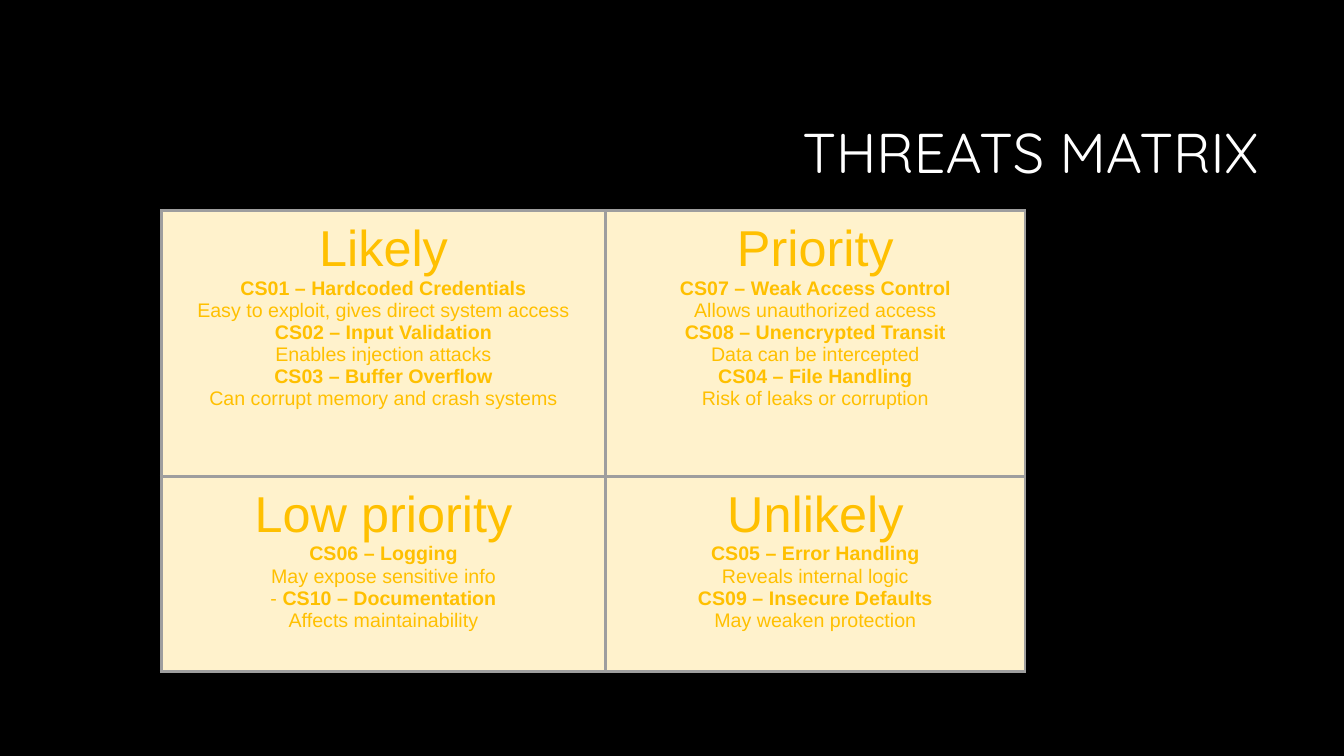
from dataclasses import dataclass

from lxml import etree
from pptx import Presentation
from pptx import util as u
from pptx.dml.color import RGBColor
from pptx.enum import text
from pptx.oxml.ns import qn


@dataclass(frozen=True)
class Theme:
    background: str = "000000"
    title_color: str = "FFFFFF"
    text_color: str = "FFC000"
    cell_fill: str = "FFF2CC"
    border: str = "9E9E9E"
    title_font: str = "Quicksand"
    body_font: str = "Arial"
    title_size: int = 40
    heading_size: int = 36
    body_size: int = 14
    border_width: float = 2.25
    cell_margin: float = 7.2


@dataclass(frozen=True)
class Threat:
    name: str
    reason: str
    prefix: str = ""


@dataclass(frozen=True)
class Quadrant:
    heading: str
    threats: tuple[Threat, ...]


THEME = Theme()
COLUMN_WIDTHS = (317.5, 299.5)
ROW_HEIGHTS = (190, 139)

MATRIX = (
    (
        Quadrant("Likely", (
            Threat("CS01 – Hardcoded Credentials", "Easy to exploit, gives direct system access"),
            Threat("CS02 – Input Validation", "Enables injection attacks"),
            Threat("CS03 – Buffer Overflow", "Can corrupt memory and crash systems"),
        )),
        Quadrant("Priority", (
            Threat("CS07 – Weak Access Control", "Allows unauthorized access"),
            Threat("CS08 – Unencrypted Transit", "Data can be intercepted"),
            Threat("CS04 – File Handling", "Risk of leaks or corruption"),
        )),
    ),
    (
        Quadrant("Low priority", (
            Threat("CS06 – Logging", "May expose sensitive info"),
            Threat("CS10 – Documentation", "Affects maintainability", prefix="- "),
        )),
        Quadrant("Unlikely", (
            Threat("CS05 – Error Handling", "Reveals internal logic"),
            Threat("CS09 – Insecure Defaults", "May weaken protection"),
        )),
    ),
)


def style_font(font, name: str, size: float, color: str) -> None:
    font.name = name
    font.size = u.Pt(size)
    font.color.rgb = RGBColor.from_string(color)


def add_title(slide, title: str) -> None:
    box = slide.shapes.add_textbox(u.Pt(228), u.Pt(60.5), u.Pt(678), u.Pt(101.5))
    frame = box.text_frame
    frame.word_wrap = True
    frame.vertical_anchor = text.MSO_ANCHOR.MIDDLE
    paragraph = frame.paragraphs[0]
    paragraph.text = title
    paragraph.alignment = text.PP_ALIGN.RIGHT
    paragraph.line_spacing = 0.9
    style_font(paragraph.font, THEME.title_font, THEME.title_size, THEME.title_color)


def set_borders(cell) -> None:
    properties = cell._tc.get_or_add_tcPr()
    for index, side in enumerate(("a:lnL", "a:lnR", "a:lnT", "a:lnB")):
        line = etree.Element(qn(side), w=str(u.Pt(THEME.border_width)))
        fill = etree.SubElement(line, qn("a:solidFill"))
        etree.SubElement(fill, qn("a:srgbClr"), val=THEME.border)
        properties.insert(index, line)


def format_line(paragraph, size: float, bold: bool = False) -> None:
    paragraph.alignment = text.PP_ALIGN.CENTER
    style_font(paragraph.font, THEME.body_font, size, THEME.text_color)
    paragraph.font.bold = bold


def fill_cell(cell, quadrant: Quadrant) -> None:
    cell.fill.solid()
    cell.fill.fore_color.rgb = RGBColor.from_string(THEME.cell_fill)
    margin = u.Pt(THEME.cell_margin)
    cell.margin_left = cell.margin_right = cell.margin_top = cell.margin_bottom = margin
    set_borders(cell)

    frame = cell.text_frame
    heading = frame.paragraphs[0]
    heading.text = quadrant.heading
    format_line(heading, THEME.heading_size)
    for threat in quadrant.threats:
        name = frame.add_paragraph()
        if threat.prefix:
            prefix = name.add_run()
            prefix.text = threat.prefix
            prefix.font.bold = False
        name.add_run().text = threat.name
        format_line(name, THEME.body_size, bold=True)
        reason = frame.add_paragraph()
        reason.text = threat.reason
        format_line(reason, THEME.body_size)


def add_matrix(slide) -> None:
    frame = slide.shapes.add_table(
        len(ROW_HEIGHTS), len(COLUMN_WIDTHS), u.Pt(115.2), u.Pt(150.5),
        u.Pt(sum(COLUMN_WIDTHS)), u.Pt(sum(ROW_HEIGHTS)))
    table = frame.table
    table.first_row = table.horz_banding = False
    for column, width in zip(table.columns, COLUMN_WIDTHS):
        column.width = u.Pt(width)
    for row, height, quadrants in zip(table.rows, ROW_HEIGHTS, MATRIX):
        row.height = u.Pt(height)
        for cell, quadrant in zip(row.cells, quadrants):
            fill_cell(cell, quadrant)


def main() -> None:
    presentation = Presentation()
    presentation.slide_width, presentation.slide_height = u.Pt(960), u.Pt(540)
    slide = presentation.slides.add_slide(presentation.slide_layouts[6])

    # Background
    slide.background.fill.solid()
    slide.background.fill.fore_color.rgb = RGBColor.from_string(THEME.background)

    # Title and threat table
    add_title(slide, "THREATS MATRIX")
    add_matrix(slide)

    presentation.save("out.pptx")


if __name__ == "__main__":
    main()
